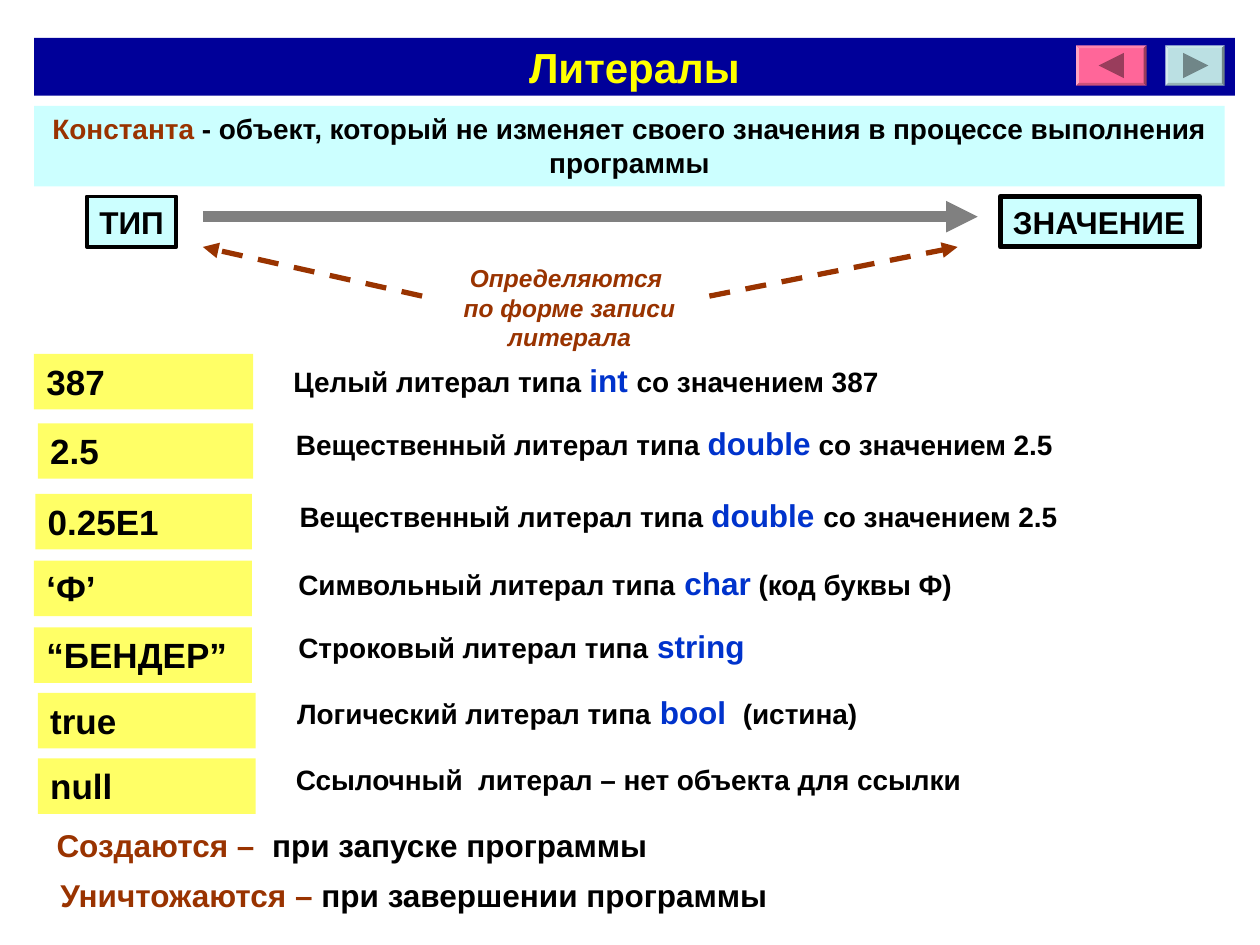
from lxml.etree import SubElement
from pptx import Presentation
from pptx.dml.color import RGBColor
from pptx.enum.dml import MSO_LINE as Dash
from pptx.enum.shapes import MSO_CONNECTOR as Link, MSO_SHAPE as Form
from pptx.enum.text import MSO_ANCHOR as Anchor, MSO_AUTO_SIZE as Auto, PP_ALIGN as Align
from pptx.oxml.ns import qn
from pptx.util import Inches, Pt

BLACK, BROWN, BLUE, GRAY = "000000", "993300", "0033CC", "808080"
NAVY, GOLD, AQUA, YELLOW = "000099", "FFFF00", "CCFFFF", "FFFF66"

TITLE = "Литералы"
DEFINE = [("Константа", BROWN, 16),
          (" - объект, который не изменяет своего значения в процессе выполнения программы", BLACK, 16)]
# text, place, line width
ENDS = [("ТИП", (0.69, 1.56, 0.71, 0.4), 2.25),
        ("ЗНАЧЕНИЕ", (7.94, 1.56, 1.58, 0.4), 3)]
NOTE = ["Определяются ", "по форме записи", "литерала"]
# start, end, colour, width, dash
ARROWS = [((1.61, 1.72), (7.76, 1.72), GRAY, 6, None),
          ((3.35, 2.35), (1.61, 1.96), BROWN, 3, Dash.DASH),
          ((5.63, 2.35), (7.6, 1.96), BROWN, 3, Dash.DASH)]
# literal, its left, top and width; meaning, its left, top and width
ROWS = [
    ("387", (0.27, 2.81, 1.74),
     ("Целый литерал типа ", "int ", "со значением 387"), (2.23, 2.82, 4.85)),
    ("2.5", (0.3, 3.36, 1.71),
     ("Вещественный литерал типа ", "double", " со значением 2.5"), (2.25, 3.32, 6.22)),
    ("0.25E1", (0.28, 3.92, 1.72),
     ("Вещественный литерал типа ", "double ", "со значением 2.5"), (2.28, 3.89, 6.23)),
    ("‘Ф’", (0.27, 4.45, 1.73),
     ("Символьный литерал типа", " char", " (код буквы Ф)"), (2.27, 4.43, 5.4)),
    ("“БЕНДЕР”", (0.27, 4.98, 1.73),
     ("Строковый литерал типа", " string"), (2.27, 4.93, 3.74)),
    ("true", (0.3, 5.5, 1.73),
     ("Логический литерал типа", " bool ", " (истина)"), (2.26, 5.45, 4.65)),
    ("null", (0.3, 6.02, 1.73),
     ("Ссылочный  литерал – нет объекта для ссылки",), (2.25, 6, 5.5)),
]
STYLE = [(BLACK, 16), (BLUE, 18), (BLACK, 16)]
LIFE = [("Создаются –  ", "при запуске программы", (0.35, 6.51, 5.28, 0.4)),
        ("Уничтожаются – ", "при завершении программы", (0.38, 6.9, 5.91, 0.4))]
# place, fill, triangle colour, triangle base x, tip x
BUTTONS = [((8.54, 0.36, 0.56, 0.32), "FF6699", "993D5C", 8.92, 8.72),
           ((9.25, 0.36, 0.47, 0.32), "BBE0E3", "708688", 9.39, 9.59)]

prs = Presentation()
prs.slide_width, prs.slide_height = Inches(10), Inches(7.5)
slide = prs.slides.add_slide(prs.slide_layouts[5])
shapes = slide.shapes


def rgb(code):
    return RGBColor.from_string(code)


def paint(shape, fill, line=None, width=0):
    shape.fill.solid()
    shape.fill.fore_color.rgb = rgb(fill)
    if line:
        shape.line.color.rgb = rgb(line)
        shape.line.width = Pt(width)
    else:
        shape.line.fill.background()


def write(shape, paras, align=Align.LEFT, wrap=True, anchor=Anchor.TOP, **style):
    """Fill a shape with paragraphs, each a list of (text, colour, size)."""
    frame = shape.text_frame
    frame.auto_size, frame.word_wrap, frame.vertical_anchor = Auto.NONE, wrap, anchor
    for i, runs in enumerate(paras):
        para = frame.add_paragraph() if i else frame.paragraphs[0]
        para.alignment = align
        for text, color, size in runs:
            run = para.add_run()
            run.text = text
            look = {"name": "Arial", "size": Pt(size), "bold": True, **style}
            for key, value in look.items():
                setattr(run.font, key, value)
            run.font.color.rgb = rgb(color)


def box(place, fill, line=None, width=0, form=Form.RECTANGLE):
    shape = shapes.add_shape(form, *map(Inches, place))
    shape.shadow.inherit = False
    paint(shape, fill, line, width)
    return shape


def label(place, paras, **style):
    write(shapes.add_textbox(*map(Inches, place)), paras, **style)


def arrow(start, end, color, width, dash):
    link = shapes.add_connector(Link.STRAIGHT, *map(Inches, start + end))
    link.line.color.rgb = rgb(color)
    link.line.width = Pt(width)
    if dash:
        link.line.dash_style = dash
    SubElement(link.line._get_or_add_ln(), qn("a:tailEnd"), type="triangle")
    SubElement(link._element.spPr, qn("a:effectLst"))


def button(place, fill, dark, base, tip):
    face = box(place, fill, form=Form.BEVEL)
    face.adjustments[0] = 0.07
    mid = place[1] + place[3] / 2
    pen = shapes.build_freeform(Inches(tip), Inches(mid), scale=1.0)
    pen.add_line_segments([(Inches(base), Inches(mid + d)) for d in (-0.1, 0.1)])
    mark = pen.convert_to_shape()
    mark.shadow.inherit = False
    paint(mark, dark)


title = shapes.title
title.left, title.top, title.width, title.height = map(Inches, (0.27, 0.3, 9.53, 0.46))
paint(title, NAVY)
write(title, [[(TITLE, GOLD, 24)]], Align.CENTER, anchor=Anchor.MIDDLE)
for item in BUTTONS:
    button(*item)

write(box((0.27, 0.84, 9.45, 0.64), AQUA), [DEFINE], Align.CENTER)
for text, place, width in ENDS:
    write(box(place, AQUA, BLACK, width), [[(text, BLACK, 18)]], wrap=False)
for item in ARROWS:
    arrow(*item)
label((3.58, 2.04, 1.88, 0.8), [[(text, BROWN, 14)] for text in NOTE],
      align=Align.CENTER, wrap=False, italic=True)

for code, spot, parts, where in ROWS:
    write(box((*spot, 0.44), YELLOW), [[(code, BLACK, 20)]])
    runs = [(text, *look) for text, look in zip(parts, STYLE)]
    label((*where, 0.4), [runs], wrap=False)

for event, moment, place in LIFE:
    label(place, [[(event, BROWN, 18), (moment, BLACK, 18)]], align=Align.JUSTIFY)

prs.save("out.pptx")
